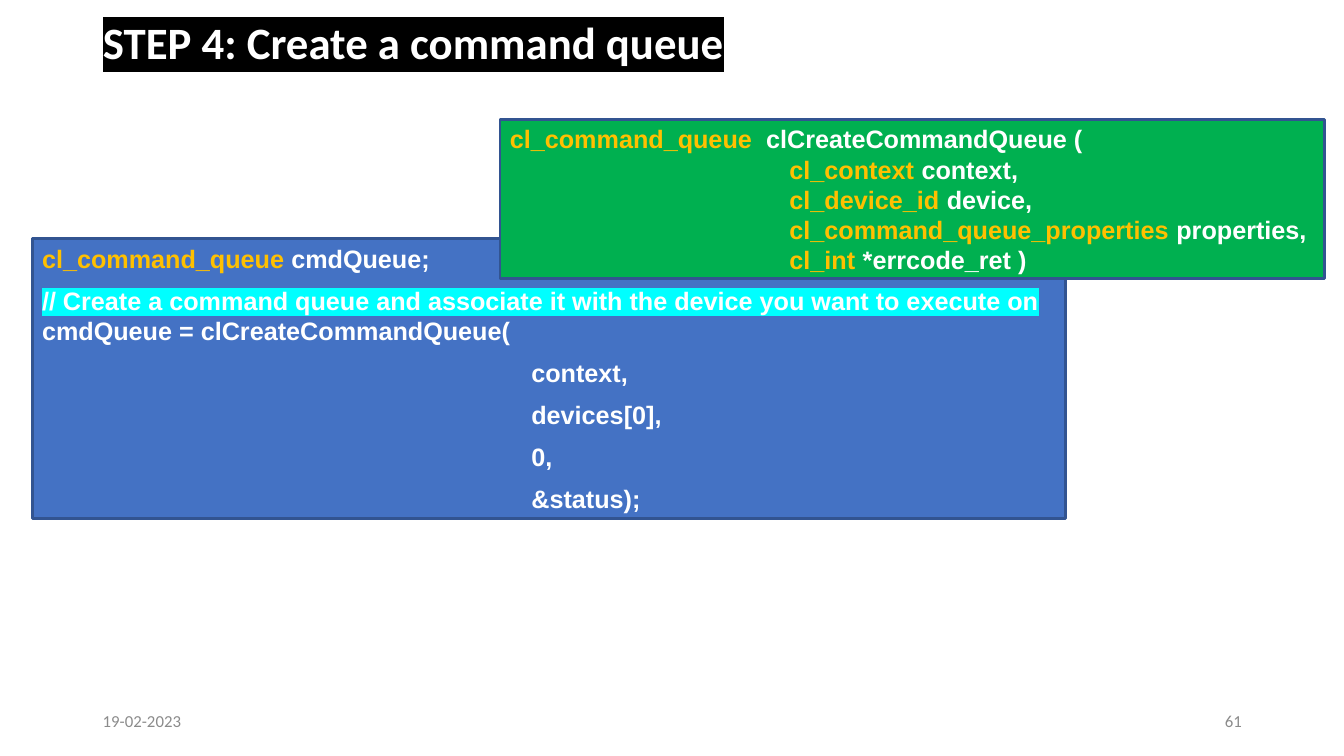
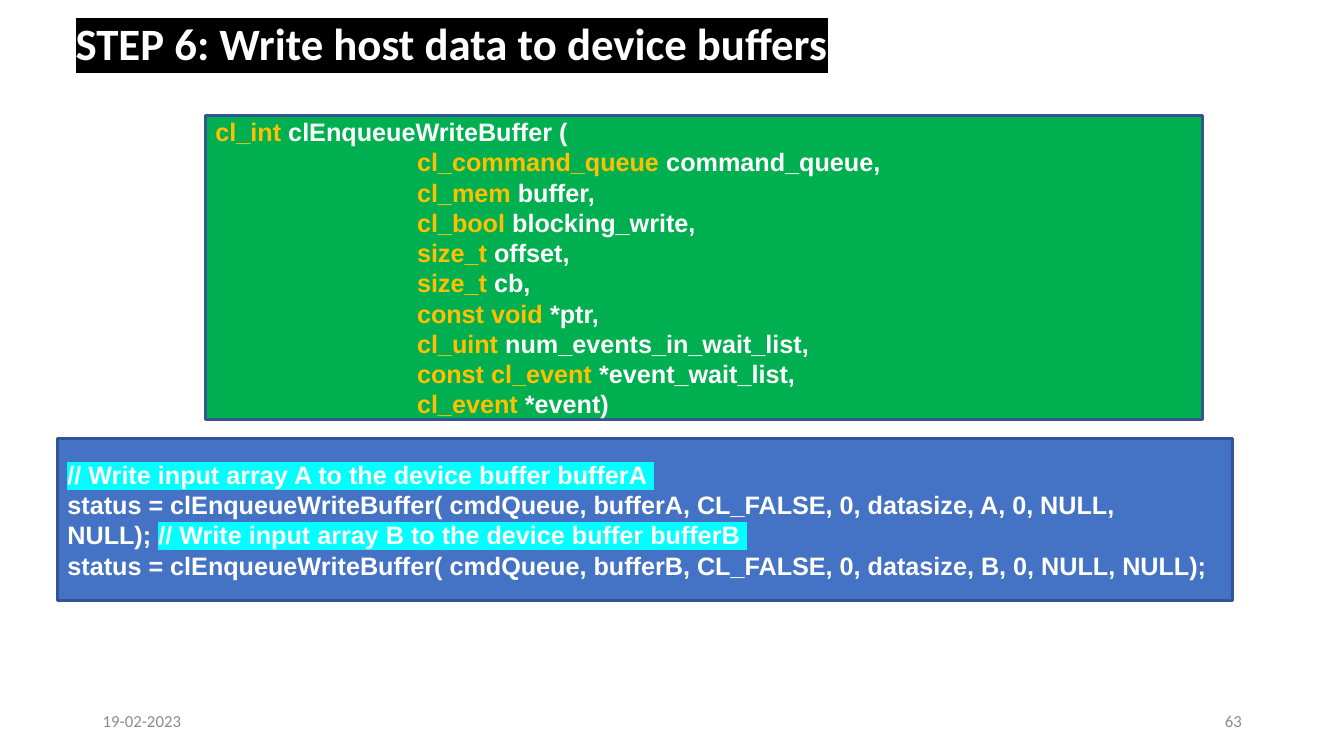
from lxml import etree
from pptx import Presentation
from pptx.dml.color import RGBColor
from pptx.enum.shapes import MSO_SHAPE
from pptx.enum.text import MSO_ANCHOR, MSO_AUTO_SIZE, PP_ALIGN
from pptx.oxml.ns import qn
from pptx.util import Cm, Pt

RECTANGLE = MSO_SHAPE.RECTANGLE
MIDDLE = MSO_ANCHOR.MIDDLE
FIXED_SIZE = MSO_AUTO_SIZE.NONE
LEFT, RIGHT = PP_ALIGN.LEFT, PP_ALIGN.RIGHT

COLOURS = {
    "white": "FFFFFF",
    "title_band": "000000",
    "footer": "8B8B8B",
    "usage": "4472C4",
    "prototype": "00B050",
    "border": "325491",
    "type": "FFC000",
    "comment_band": "00FFFF",
}
TITLE_FONT, CODE_FONT = "Calibri", "Arial"
TITLE_ONLY = 5
DATE = "19-02-2023"
TYPE, PLAIN, COMMENT = "type", "plain", "comment"


def rgb(name):
    """Return the named colour."""
    return RGBColor.from_string(COLOURS[name])


def style_run(run, font, size, colour, bold=False):
    """Set the font, size, colour and weight of a run."""
    run.font.name = font
    run.font.size = Pt(size)
    run.font.bold = bold
    run.font.color.rgb = rgb(colour)


def highlight(run, colour):
    """Put a coloured band behind a run that already has a colour."""
    band = etree.Element(qn("a:highlight"))
    etree.SubElement(band, qn("a:srgbClr"), val=COLOURS[colour])
    run.font._element.find(qn("a:solidFill")).addnext(band)


def add_tab_stop(para, position):
    """Give a paragraph one left tab stop."""
    stops = etree.SubElement(para._p.get_or_add_pPr(), qn("a:tabLst"))
    etree.SubElement(stops, qn("a:tab"), pos=str(int(position)), algn="l")


def set_title(slide, text, left, top, band_width):
    """Place the title on a black band that runs past its text."""
    title = slide.shapes.title
    title.left, title.top = Cm(left), Cm(top)
    title.width, title.height = Cm(29.21), Cm(2.08)
    frame = title.text_frame
    frame.text = f"{text}\t"
    frame.auto_size = FIXED_SIZE
    frame.word_wrap = True
    frame.vertical_anchor = MIDDLE
    para = frame.paragraphs[0]
    para.alignment = LEFT
    para.line_spacing = 0.9
    add_tab_stop(para, Cm(band_width))
    for run in para.runs:
        style_run(run, TITLE_FONT, 32, "white", bold=True)
        highlight(run, "title_band")


def add_footer(slide, number):
    """Add the date and the page number."""
    for text, left, alignment in ((DATE, 2.34, LEFT), (number, 23.93, RIGHT)):
        box = slide.shapes.add_textbox(Cm(left), Cm(17.65), Cm(7.62), Cm(1.02))
        frame = box.text_frame
        frame.word_wrap = True
        frame.vertical_anchor = MIDDLE
        para = frame.paragraphs[0]
        para.text = text
        para.alignment = alignment
        style_run(para.runs[0], TITLE_FONT, 12, "footer")


def add_code_box(slide, fill, place, lines, gap=0, tab_stop=None):
    """Add a filled box of code, each line a list of (kind, text) spans."""
    box = slide.shapes.add_shape(RECTANGLE, *map(Cm, place))
    box.shadow.inherit = False
    box.fill.solid()
    box.fill.fore_color.rgb = rgb(fill)
    box.line.color.rgb = rgb("border")
    box.line.width = Pt(2)
    frame = box.text_frame
    frame.word_wrap = True
    frame.vertical_anchor = MIDDLE
    for index, spans in enumerate(lines):
        para = frame.add_paragraph() if index else frame.paragraphs[0]
        para.alignment = LEFT
        para.space_before = Pt(gap if index else 0)
        if tab_stop:
            add_tab_stop(para, Cm(tab_stop))
        for kind, text in spans:
            span = para.add_run()
            span.text = text
            style_run(span, CODE_FONT, 18, "type" if kind == TYPE else "white", bold=True)
            if kind == COMMENT:
                highlight(span, "comment_band")


def prototype_lines(result, name, parameters, indent):
    """Return the lines of a function prototype, one parameter a line."""
    lines = [[(TYPE, result), (PLAIN, f"{name} (")]]
    for kind, parameter in parameters:
        lines.append([(TYPE, f"{indent}{kind} "), (PLAIN, parameter)])
    return lines


def build_queue_slide(deck):
    """Build the slide on creating a command queue."""
    slide = deck.slides.add_slide(deck.slide_layouts[TITLE_ONLY])
    set_title(slide, "STEP 4: Create a command queue", 2.34, 0.1, 16.41)
    add_footer(slide, "61")
    usage = [
        [(TYPE, "cl_command_queue "), (PLAIN, "cmdQueue;")],
        [
            (COMMENT, "// Create a command queue and associate it with the device you want to execute on "),
            (PLAIN, "cmdQueue = clCreateCommandQueue("),
        ],
    ]
    for argument in ("context,", "devices[0],", "0,", "&status);"):
        usage.append([(PLAIN, " " * 70 + argument)])
    add_code_box(slide, "usage", (0.81, 6.02, 26.04, 7.04), usage, gap=8.3)
    parameters = [
        ("cl_context", "context,"),
        ("cl_device_id", "device,"),
        ("cl_command_queue_properties", "properties,"),
        ("cl_int", "*errcode_ret )"),
    ]
    prototype = prototype_lines("cl_command_queue  ", "clCreateCommandQueue", parameters, " " * 40)
    add_code_box(slide, "prototype", (12.6, 3.02, 20.78, 4.01), prototype)


def build_write_slide(deck):
    """Build the slide on writing host data to device buffers."""
    slide = deck.slides.add_slide(deck.slide_layouts[TITLE_ONLY])
    set_title(slide, "STEP 6: Write host data to device buffers", 1.65, 0.13, 19.71)
    add_footer(slide, "63")
    comment_a, comment_b = (
        (COMMENT, f"// Write input array {name} to the device buffer buffer{name} ") for name in "AB"
    )
    call_a, call_b = (
        f"status = clEnqueueWriteBuffer( cmdQueue, buffer{name}, CL_FALSE, 0, datasize, {name}, 0, NULL, NULL);"
        for name in "AB"
    )
    usage = [[comment_a], [(PLAIN, f"{call_a} "), comment_b], [(PLAIN, call_b)]]
    add_code_box(slide, "usage", (1.45, 11.05, 29.62, 4.09), usage)
    parameters = [
        ("cl_command_queue", "command_queue,"),
        ("cl_mem", "buffer,"),
        ("cl_bool", "blocking_write,"),
        ("size_t", "offset,"),
        ("size_t", "cb,"),
        ("const void", "*ptr,"),
        ("cl_uint", "num_events_in_wait_list,"),
        ("const cl_event", "*event_wait_list,"),
        ("cl_event", "*event)"),
    ]
    prototype = prototype_lines("cl_int ", "clEnqueueWriteBuffer", parameters, "\t")
    add_code_box(slide, "prototype", (5.18, 2.92, 25.12, 7.65), prototype, tab_stop=5.08)


def main():
    """Build and save the deck."""
    deck = Presentation()
    deck.slide_width, deck.slide_height = Cm(33.87), Cm(19.05)
    build_queue_slide(deck)
    build_write_slide(deck)
    deck.save("out.pptx")


if __name__ == "__main__":
    main()
